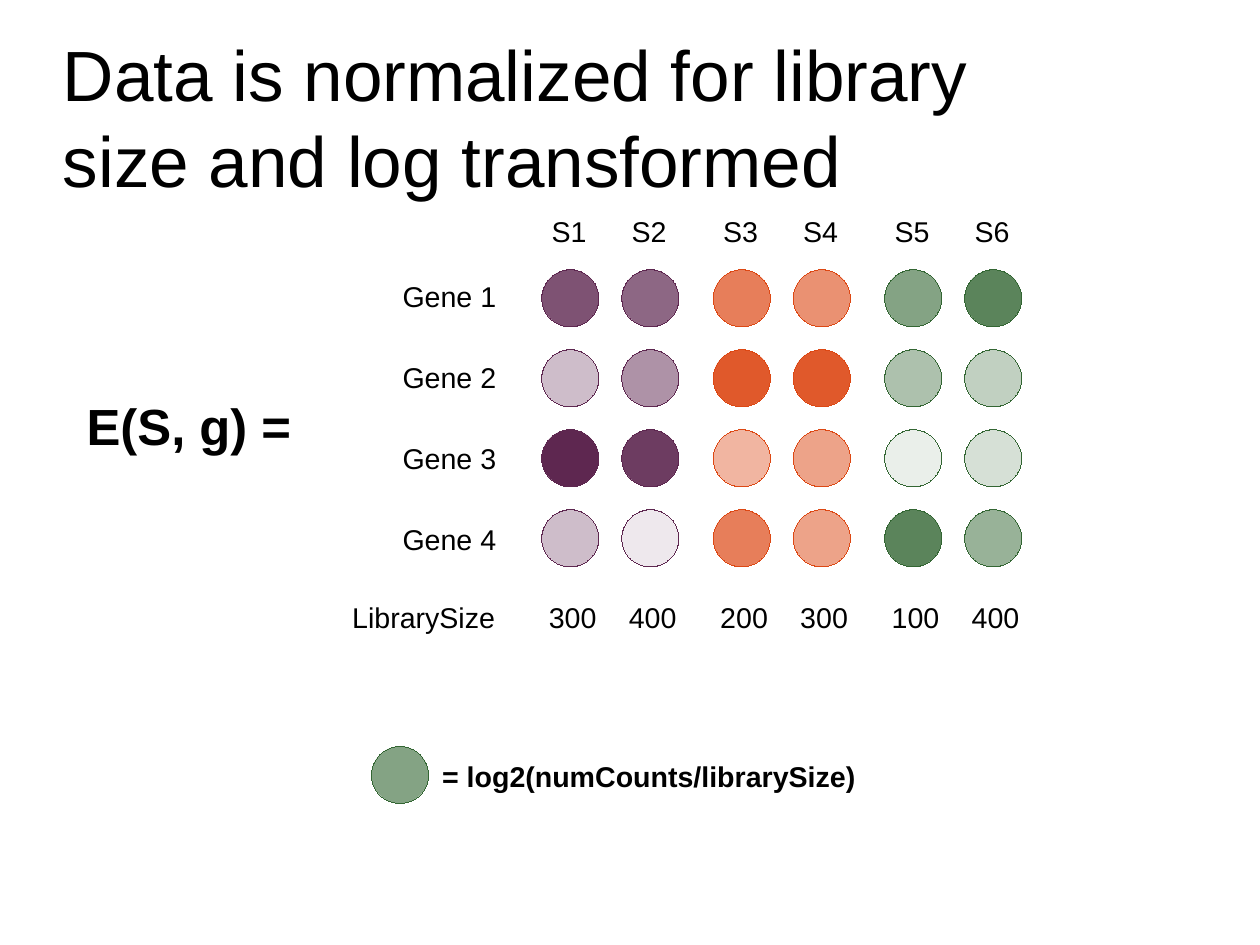
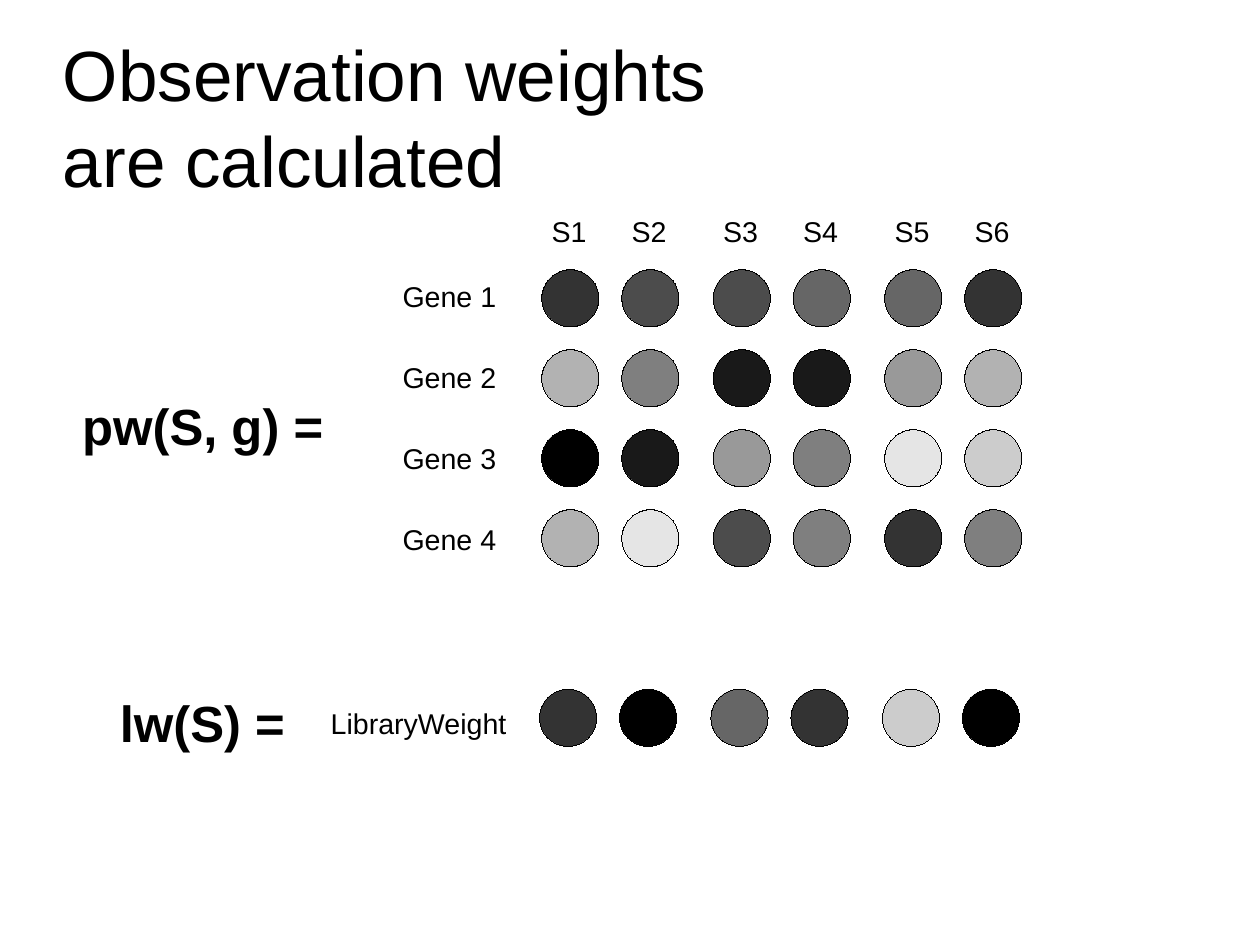
from pptx import Presentation
from pptx.dml.color import RGBColor
from pptx.enum.shapes import MSO_SHAPE
from pptx.enum.text import MSO_ANCHOR, PP_ALIGN
from pptx.oxml.ns import qn
from pptx.util import Inches, Pt
from lxml import etree

ELLIPSE = MSO_SHAPE.OVAL
TOP, MIDDLE = MSO_ANCHOR.TOP, MSO_ANCHOR.MIDDLE
LEFT, CENTER, RIGHT = PP_ALIGN.LEFT, PP_ALIGN.CENTER, PP_ALIGN.RIGHT

CM_PER_INCH = 2.54
PAGE_WIDTH, PAGE_HEIGHT = 28 / CM_PER_INCH, 21 / CM_PER_INCH
COLORS = {"black": "000000", "purple": "5E2750", "orange": "DD4814", "green": "336633"}
FONT = "Arial"
STYLES = {
    "title": {"size": Pt(44.8), "bold": False},
    "label": {"size": Pt(18), "bold": False},
    "note": {"size": Pt(18), "bold": True},
    "formula": {"size": Pt(32), "bold": True},
}

SAMPLES = ["S1", "S2", "S3", "S4", "S5", "S6"]
GENES = ["Gene 1", "Gene 2", "Gene 3", "Gene 4"]
OPACITY = [
    [80, 70, 70, 60, 60, 80],
    [30, 50, 90, 90, 40, 30],
    [100, 90, 40, 50, 10, 20],
    [30, 10, 70, 50, 80, 50],
]
LIBRARY_SIZES = ["300", "400", "200", "300", "100", "400"]
LIBRARY_OPACITY = [80, 100, 60, 80, 20, 100]
GROUP_COLORS = ["purple", "orange", "green"]

DOT = 0.5
STEP = 0.7
GROUP_STEP = 1.5
GRID_LEFT, GRID_TOP = 4.74, 2.36
COLUMN_LEFTS = [GRID_LEFT + column // 2 * GROUP_STEP + column % 2 * STEP
                for column in range(len(SAMPLES))]
GENE_TOP, GENE_STEP = 2.39, 0.71
LABEL_HEIGHT, LABEL_WIDTH = 0.38, 2
COLUMN_LABEL_WIDTH = 0.8
LABEL_RIGHT = 4.44


def add_text(page, text, left, top, width, height, style,
             align=LEFT, anchor=TOP, inset=(0.1, 0.05)):
    box = page.shapes.add_textbox(Inches(left), Inches(top), Inches(width), Inches(height))
    frame = box.text_frame
    frame.word_wrap = True
    frame.vertical_anchor = anchor
    frame.margin_left = frame.margin_right = Inches(inset[0])
    frame.margin_top = frame.margin_bottom = Inches(inset[1])
    para = frame.paragraphs[0]
    para.text = text
    para.alignment = align
    for span in para.runs:
        span.font.name = FONT
        span.font.color.rgb = RGBColor.from_string(COLORS["black"])
        for name, value in STYLES[style].items():
            setattr(span.font, name, value)


def add_dot(page, left, top, color, opacity):
    dot = page.shapes.add_shape(ELLIPSE, Inches(left), Inches(top), Inches(DOT), Inches(DOT))
    dot.shadow.inherit = False
    rgb = RGBColor.from_string(COLORS[color])
    dot.fill.solid()
    dot.fill.fore_color.rgb = rgb
    dot.line.color.rgb = rgb
    properties = dot.element.spPr
    properties.find(qn("a:ln")).set("w", "0")
    if opacity < 100:
        fill_color = properties.find(qn("a:solidFill")).find(qn("a:srgbClr"))
        etree.SubElement(fill_color, qn("a:alpha")).set("val", str(opacity * 1000))


def add_dot_row(page, top, opacities, colors, shift=0):
    for column, (left, opacity) in enumerate(zip(COLUMN_LEFTS, opacities)):
        add_dot(page, left + shift, top, colors[column // 2], opacity)


def add_row_label(page, text, top, right=LABEL_RIGHT):
    add_text(page, text, right - LABEL_WIDTH, top, LABEL_WIDTH, LABEL_HEIGHT, "label", RIGHT)


def add_column_labels(page, texts, top, shift=0):
    for left, text in zip(COLUMN_LEFTS, texts):
        label_left = left + shift + (DOT - COLUMN_LABEL_WIDTH) / 2
        add_text(page, text, label_left, top, COLUMN_LABEL_WIDTH, LABEL_HEIGHT, "label", CENTER)


def add_matrix_page(deck, title, formula, formula_left, colors):
    page = deck.slides.add_slide(deck.slide_layouts[6])
    add_text(page, title, 0.55, 0.32, 9.92, 1.39, "title", anchor=MIDDLE, inset=(0, 0))
    for row, (gene, opacities) in enumerate(zip(GENES, OPACITY)):
        add_dot_row(page, GRID_TOP + row * STEP, opacities, colors)
        add_row_label(page, gene, GENE_TOP + row * GENE_STEP)
    add_column_labels(page, SAMPLES, 1.82, -0.01)
    add_text(page, formula, formula_left, 3.4, 2.6, 0.6, "formula")
    return page


def main():
    deck = Presentation()
    deck.slide_width, deck.slide_height = Inches(PAGE_WIDTH), Inches(PAGE_HEIGHT)

    expression = add_matrix_page(
        deck, "Data is normalized for library \vsize and log transformed",
        "E(S, g) =", 0.66, GROUP_COLORS)
    add_row_label(expression, "LibrarySize", 5.2, 4.43)
    add_column_labels(expression, LIBRARY_SIZES, 5.2, 0.02)
    add_dot(expression, 3.25, 6.53, "green", 60)
    add_text(expression, "= log2(numCounts/librarySize)", 3.77, 6.59, 4.2, 0.58, "note")

    blacks = ["black"] * len(GROUP_COLORS)
    weights = add_matrix_page(
        deck, "Observation weights \vare calculated", "pw(S, g) =", 0.62, blacks)
    add_row_label(weights, "LibraryWeight", 6.13, 4.53)
    add_dot_row(weights, 6.03, LIBRARY_OPACITY, blacks, -0.02)
    add_text(weights, "lw(S) =", 0.95, 6, 2, 0.6, "formula")

    deck.save("out.pptx")


if __name__ == "__main__":
    main()
